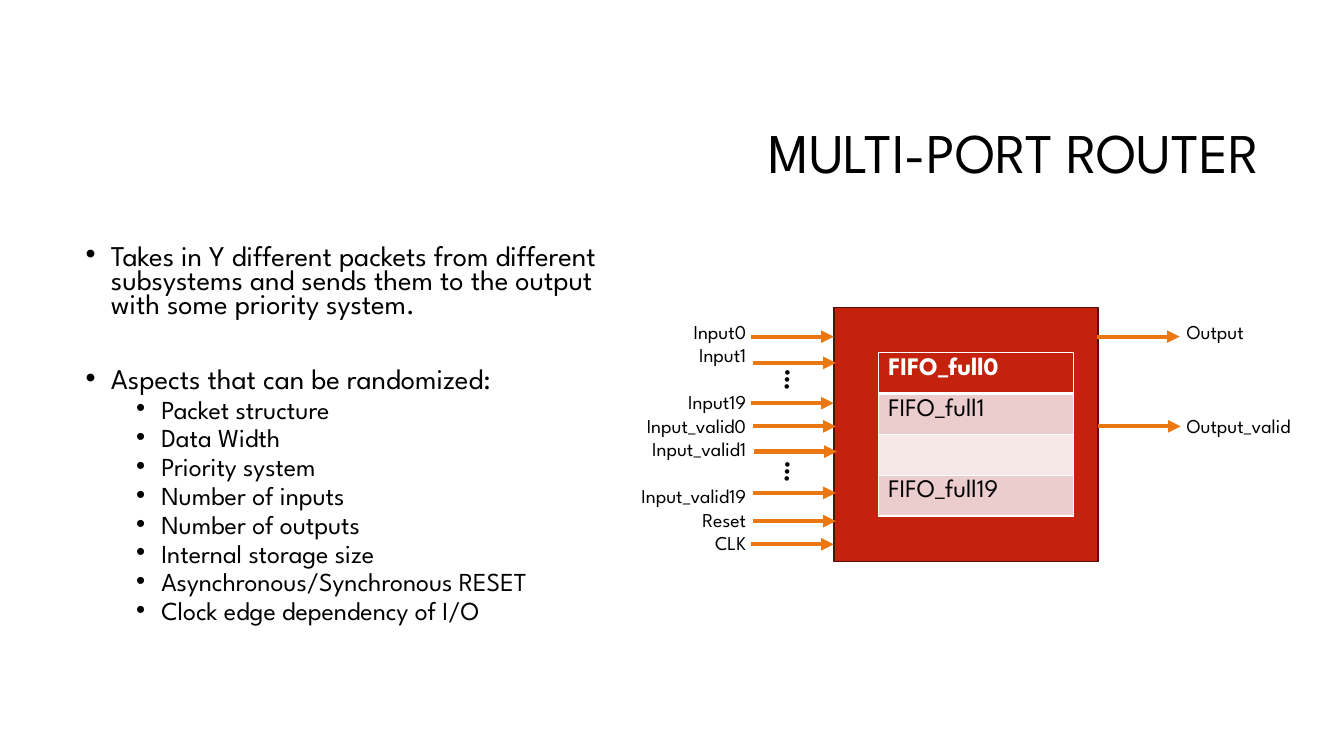
from lxml.etree import SubElement
from pptx import Presentation
from pptx.dml.color import RGBColor
from pptx.enum.shapes import MSO_CONNECTOR, MSO_SHAPE
from pptx.enum.text import MSO_ANCHOR, MSO_AUTO_SIZE, PP_ALIGN
from pptx.oxml.ns import qn
from pptx.util import Inches, Pt

BLACK = RGBColor(0, 0, 0)
WHITE = RGBColor(255, 255, 255)
RED = RGBColor(0xC4, 0x22, 0x0D)
MAROON = RGBColor(0x56, 0x0F, 0x06)
ORANGE = RGBColor(0xEB, 0x77, 0x12)
ROSE = RGBColor(0xEA, 0xCD, 0xCC)
BLUSH = RGBColor(0xF5, 0xE8, 0xE7)


def style(para, size, color=BLACK, bold=False):
    for run in para.runs:
        run.font.name = "League Spartan"
        run.font.size = Pt(size)
        run.font.color.rgb = color
        run.font.bold = bold


def add_label(box, lines, align=PP_ALIGN.LEFT, size=14, bold=False):
    """Add a text box of (text, space before) lines."""
    shape = slide.shapes.add_textbox(*map(Inches, box))
    frame = shape.text_frame
    frame.word_wrap = False
    for i, (text, gap) in enumerate(lines):
        para = frame.add_paragraph() if i else frame.paragraphs[0]
        para.text = text
        para.alignment = align
        para.space_before = Pt(gap)
        style(para, size, bold=bold)
    return shape


prs = Presentation()
prs.slide_width = Inches(13.33)
prs.slide_height = Inches(7.5)
slide = prs.slides.add_slide(prs.slide_layouts[1])

# Title
title = slide.shapes.title
title.left, title.top, title.width, title.height = map(Inches, (3.17, 0.84, 9.42, 1.41))
title.text_frame.text = "MULTI-PORT ROUTER"
title.text_frame.auto_size = MSO_AUTO_SIZE.NONE
title.text_frame.vertical_anchor = MSO_ANCHOR.MIDDLE
head = title.text_frame.paragraphs[0]
head.alignment = PP_ALIGN.RIGHT
head.line_spacing = 0.9
style(head, 40)

# Bullet list: level, space before, text
points = [
    (0, 10, "Takes in Y different packets from different subsystems and sends them "
            "to the output with some priority system."),
    (0, 37, "Aspects that can be randomized:"),
    (1, 5, "Packet structure"),
    (1, 5, "Data Width"),
    (1, 5, "Priority system"),
    (1, 5, "Number of inputs"),
    (1, 5, "Number of outputs"),
    (1, 5, "Internal storage size"),
    (1, 5, "Asynchronous/Synchronous RESET"),
    (1, 5, "Clock edge dependency of I/O"),
]
body = slide.placeholders[1]
body.left, body.top, body.width, body.height = map(Inches, (0.75, 2.4, 5.52, 4.4))
frame = body.text_frame
frame.auto_size = MSO_AUTO_SIZE.NONE
for i, (level, gap, text) in enumerate(points):
    para = frame.add_paragraph() if i else frame.paragraphs[0]
    para.text = text
    para.level = level
    para.line_spacing = 0.7
    para.space_before = Pt(gap)
    style(para, 18.5 if level else 20.4)
    props = para._p.get_or_add_pPr()
    props.set("marL", str(Inches(0.25 + 0.5 * level)))
    props.set("indent", str(Inches(-0.25)))
    SubElement(props, qn("a:buFont"), typeface="Arial")
    SubElement(props, qn("a:buChar"), char="•")

# Router block
router = slide.shapes.add_shape(
    MSO_SHAPE.RECTANGLE, *map(Inches, (8.27, 3.05, 2.62, 2.52)))
router.shadow.inherit = False
router.fill.solid()
router.fill.fore_color.rgb = RED
router.line.color.rgb = MAROON
router.line.width = Pt(1)

# Signal arrows: start and height, all of one length
starts = [
    (7.45, 3.34), (7.47, 3.6), (7.45, 4), (7.47, 4.23), (7.48, 4.48),
    (7.47, 4.89), (7.47, 5.17), (7.45, 5.4), (10.88, 3.34), (10.89, 4.23),
]
for x, y in starts:
    arrow = slide.shapes.add_connector(
        MSO_CONNECTOR.STRAIGHT, Inches(x), Inches(y), Inches(x + 0.82), Inches(y))
    arrow.line.color.rgb = ORANGE
    arrow.line.width = Pt(3)
    SubElement(arrow.line._get_or_add_ln(), qn("a:tailEnd"), type="triangle")
    SubElement(arrow._element.spPr, qn("a:effectLst"))

# Upright dots between the numbered inputs
for y in (3.6, 4.51):
    dots = add_label((7.66, y, 0.45, 0.4), [("…", 0)], size=18, bold=True)
    dots.rotation = 92.5

# Signal names, with gaps of whole 16.8 pt lines
LINE = 16.8
add_label((6.04, 3.12, 1.46, 2.69), [
    ("Input0", 0), ("Input1", 0), ("Input19", LINE),
    ("Input_valid0", 0), ("Input_valid1", 0), ("Input_valid19", LINE),
    ("Reset", 0), ("CLK", 0)], PP_ALIGN.RIGHT)
add_label((11.67, 3.12, 1.43, 1.28), [("Output", 0), ("Output_valid", 3 * LINE)])

# FIFO table
rows = [("FIFO_full0", RED), ("FIFO_full1", ROSE), ("", BLUSH), ("FIFO_full19", ROSE)]
table = slide.shapes.add_table(
    len(rows), 1, *map(Inches, (8.71, 3.5, 1.94, 1.62))).table
for i, (text, fill) in enumerate(rows):
    cell = table.cell(i, 0)
    cell.text_frame.text = text
    style(cell.text_frame.paragraphs[0], 18, BLACK if i else WHITE, i == 0)
    props = cell._tc.get_or_add_tcPr()
    for side in ("L", "R", "T", "B"):
        thick = (i == 0 and side == "B") or (i == 1 and side == "T")
        edge = SubElement(props, qn("a:ln" + side), w=str(Pt(3 if thick else 1)))
        paint = SubElement(edge, qn("a:solidFill"))
        SubElement(paint, qn("a:srgbClr"), val=str(WHITE))
    cell.fill.solid()
    cell.fill.fore_color.rgb = fill

prs.save("out.pptx")
